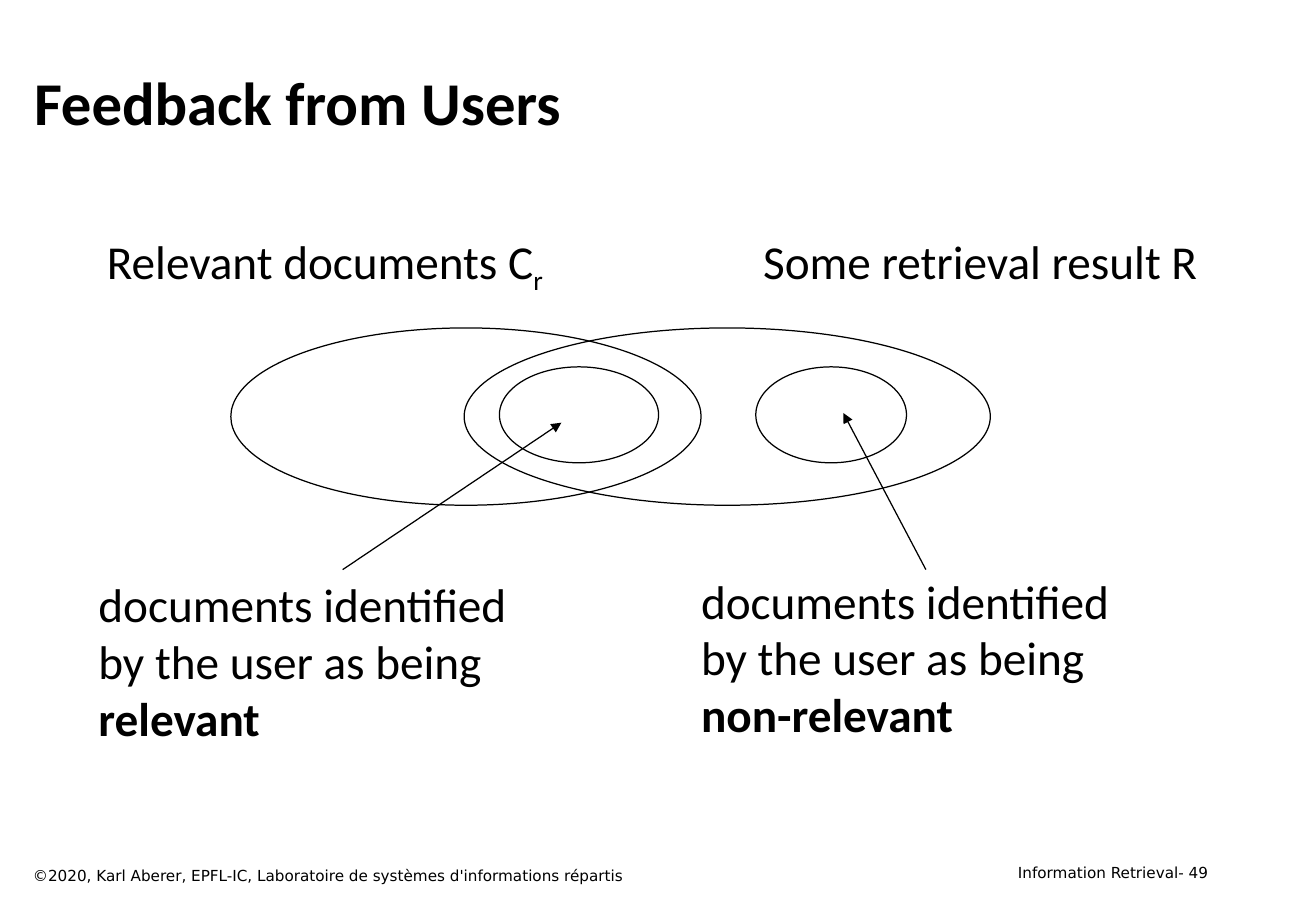
from lxml import etree
from pptx import Presentation
from pptx.dml.color import RGBColor
from pptx.enum.shapes import MSO_CONNECTOR, MSO_SHAPE
from pptx.enum.text import MSO_ANCHOR, MSO_AUTO_SIZE, PP_ALIGN
from pptx.oxml.ns import qn
from pptx.util import Pt

PX = 9144  # 100 px to the inch
BLACK = RGBColor(0, 0, 0)
BODY_FONT, FOOTER_FONT = "Calibri", "DejaVu Sans"
LEFT, RIGHT = PP_ALIGN.LEFT, PP_ALIGN.RIGHT
OVAL, STRAIGHT = MSO_SHAPE.OVAL, MSO_CONNECTOR.STRAIGHT
NORMAL, BOLD, SUB = "normal", "bold", "subscript"

TITLE = "Feedback from Users"
TITLE_BOX = (18, 33, 984, 100)

# Text, box, alignment
FOOTERS = [
    ("Information Retrieval- 49", (777, 706, 226, 25), RIGHT),
    ("©2020, Karl Aberer, EPFL-IC, Laboratoire de systèmes d'informations répartis",
     (18, 708, 695, 25), LEFT),
]

# Box, wrap, paragraphs of (text, style) runs
LABELS = [
    ((79, 186, 383, 56), False, [[("Relevant documents C", NORMAL), ("r", SUB)]]),
    ((619, 186, 380, 56), False, [[("Some retrieval result R", NORMAL)]]),
    ((72, 469, 389, 151), True,
     [[("documents identified", NORMAL)],
      [("by the user as being ", NORMAL), ("relevant", BOLD)]]),
    ((568, 466, 400, 151), True,
     [[("documents identified", NORMAL)],
      [("by the user as being ", NORMAL), ("non-relevant", BOLD)]]),
]

# Left and width of each ellipse, by row
SETS = [(190, 387), (382, 433)]
SET_TOP, SET_HEIGHT = 270, 146
IDENTIFIED = [(411, 131), (622, 124)]
IDENTIFIED_TOP, IDENTIFIED_HEIGHT = 302, 79

ARROWS = [(282, 469, 462, 348), (762, 469, 694, 340)]


def px(lengths):
    return [n * PX for n in lengths]


def add_text(slide, box, paragraphs, font, size, wrap=True, align=LEFT):
    tf = slide.shapes.add_textbox(*px(box)).text_frame
    tf.word_wrap = wrap
    tf.margin_left = tf.margin_right = 9 * PX
    for i, runs in enumerate(paragraphs):
        p = tf.add_paragraph() if i else tf.paragraphs[0]
        p.alignment = align
        p.font.name, p.font.size, p.font.color.rgb = font, Pt(size), BLACK
        for text, style in runs:
            r = p.add_run()
            r.text = text
            if style == BOLD:
                r.font.bold = True
            elif style == SUB:
                r.font._element.set("baseline", "-25000")


def add_ellipse(slide, box):
    s = slide.shapes.add_shape(OVAL, *px(box))
    s.shadow.inherit = False
    s.fill.background()
    s.line.color.rgb, s.line.width = BLACK, Pt(0.75)


def add_arrow(slide, ends):
    c = slide.shapes.add_connector(STRAIGHT, *px(ends))
    c.line.color.rgb, c.line.width = BLACK, Pt(0.75)
    etree.SubElement(c.line._get_or_add_ln(), qn("a:tailEnd"), type="triangle")
    etree.SubElement(c._element.spPr, qn("a:effectLst"))


def main():
    prs = Presentation()
    prs.slide_width, prs.slide_height = px((1083, 750))
    slide = prs.slides.add_slide(prs.slide_layouts[5])

    title = slide.shapes.title
    title.left, title.top, title.width, title.height = px(TITLE_BOX)
    tf = title.text_frame
    tf.text = TITLE
    tf.auto_size = MSO_AUTO_SIZE.NONE
    tf.vertical_anchor = MSO_ANCHOR.MIDDLE
    p = tf.paragraphs[0]
    p.alignment = LEFT
    p.font.name, p.font.size, p.font.bold = BODY_FONT, Pt(36), True
    p.font.color.rgb = BLACK

    for text, box, align in FOOTERS:
        add_text(slide, box, [[(text, NORMAL)]], FOOTER_FONT, 9, align=align)
    for left, width in SETS:
        add_ellipse(slide, (left, SET_TOP, width, SET_HEIGHT))
    for left, width in IDENTIFIED:
        add_ellipse(slide, (left, IDENTIFIED_TOP, width, IDENTIFIED_HEIGHT))
    for box, wrap, paragraphs in LABELS:
        add_text(slide, box, paragraphs, BODY_FONT, 28, wrap)
    for ends in ARROWS:
        add_arrow(slide, ends)

    prs.save("out.pptx")


if __name__ == "__main__":
    main()
